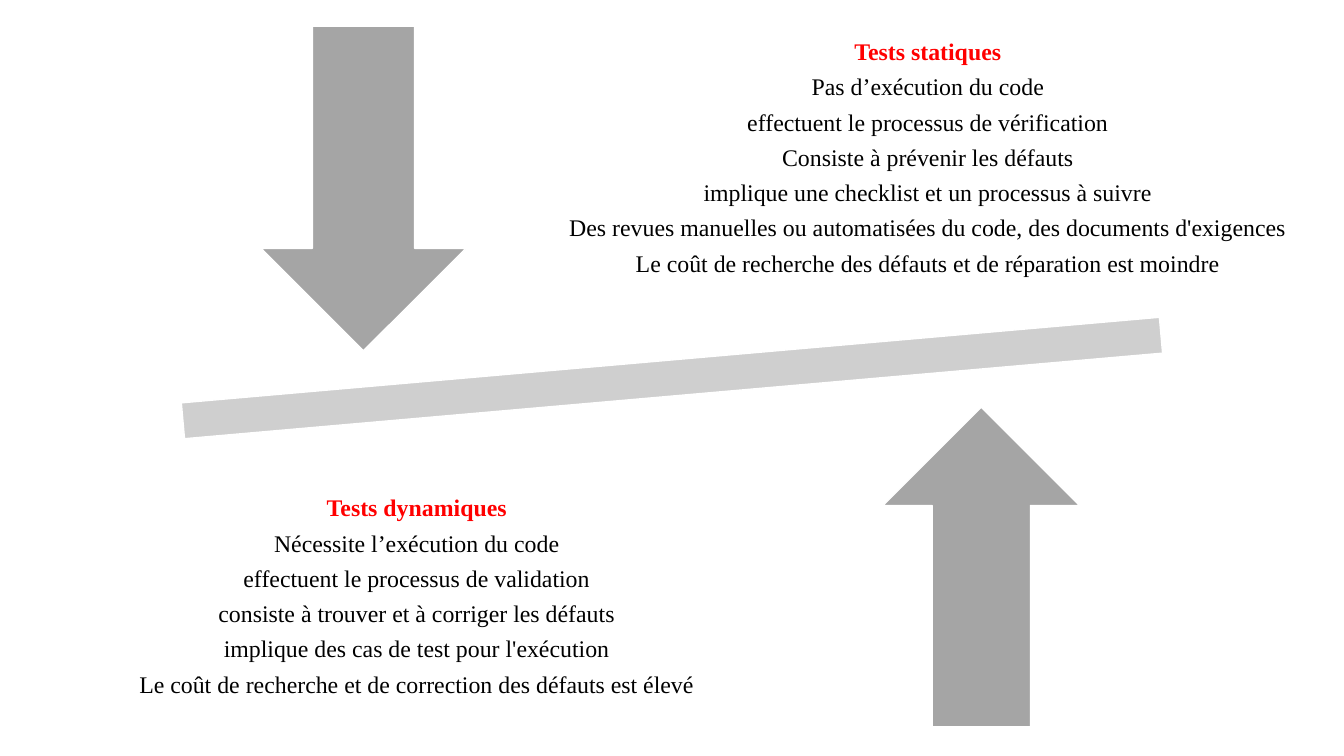
from dataclasses import dataclass

from pptx import Presentation
from pptx.dml.color import RGBColor
from pptx.enum.shapes import MSO_SHAPE
from pptx.enum.text import MSO_ANCHOR, PP_ALIGN
from pptx.util import Inches, Pt


@dataclass(frozen=True)
class Theme:
    """Colours and type sizes of the slide."""
    font: str = "Times New Roman"
    size: float = 17
    space_after: float = 6.8
    line_spacing: float = 0.9
    inset: float = 0.13
    heading: str = "FF0000"
    text: str = "000000"
    beam: str = "CFCFCF"
    arrow: str = "A5A5A5"
    outline: str = "FFFFFF"


@dataclass(frozen=True)
class Box:
    """A frame in percent of the slide's width and height."""
    left: float
    top: float
    width: float
    height: float


@dataclass(frozen=True)
class Figure:
    """A plain preset shape."""
    kind: MSO_SHAPE
    box: Box
    color: str
    rotation: float = 0


@dataclass(frozen=True)
class Panel:
    """A red heading above its centred lines."""
    box: Box
    heading: str
    lines: tuple[str, ...]


THEME = Theme()

FIGURES = (
    Figure(MSO_SHAPE.MATH_MINUS, Box(0.3, 39.87, 99.4, 20.27), THEME.beam, 355),
    Figure(MSO_SHAPE.DOWN_ARROW, Box(19.43, 3.47, 15.23, 42.93), THEME.arrow),
    Figure(MSO_SHAPE.UP_ARROW, Box(65.7, 53.87, 14.63, 42.27), THEME.arrow),
)

PANELS = (
    Panel(Box(38.4, 0, 61.28, 42), "Tests statiques", (
        "Pas d’exécution du code",
        "effectuent le processus de vérification",
        "Consiste à prévenir les défauts",
        "implique une checklist et un processus à suivre",
        "Des revues manuelles ou automatisées du code, des documents d'exigences",
        "Le coût de recherche des défauts et de réparation est moindre",
    )),
    Panel(Box(2.7, 58, 56.63, 42), "Tests dynamiques", (
        "Nécessite l’exécution du code",
        "effectuent le processus de validation",
        "consiste à trouver et à corriger les défauts",
        "implique des cas de test pour l'exécution",
        "Le coût de recherche et de correction des défauts est élevé",
    )),
)

prs = Presentation()
prs.slide_width, prs.slide_height = Inches(13.33), Inches(7.5)
slide = prs.slides.add_slide(prs.slide_layouts[6])


def frame(box: Box) -> tuple[int, int, int, int]:
    """Turn a box of percentages into slide lengths."""
    w, h = prs.slide_width / 100, prs.slide_height / 100
    return int(box.left * w), int(box.top * h), int(box.width * w), int(box.height * h)


def add_figure(figure: Figure) -> None:
    """Draw a filled shape with a thin outline."""
    sp = slide.shapes.add_shape(figure.kind, *frame(figure.box))
    sp.rotation = figure.rotation
    sp.shadow.inherit = False
    sp.fill.solid()
    sp.fill.fore_color.rgb = RGBColor.from_string(figure.color)
    sp.line.color.rgb = RGBColor.from_string(THEME.outline)
    sp.line.width = Pt(1)


def write_line(p, text: str, *, color: str = THEME.text, bold: bool = False) -> None:
    """Fill a paragraph with one centred line."""
    p.alignment = PP_ALIGN.CENTER
    p.line_spacing = THEME.line_spacing
    p.space_after = Pt(THEME.space_after)
    r = p.add_run()
    r.text = text
    r.font.name = THEME.font
    r.font.size = Pt(THEME.size)
    r.font.bold = bold
    r.font.color.rgb = RGBColor.from_string(color)


def add_panel(panel: Panel) -> None:
    """Place a heading and its lines in one text box."""
    tf = slide.shapes.add_textbox(*frame(panel.box)).text_frame
    tf.word_wrap = True
    tf.vertical_anchor = MSO_ANCHOR.MIDDLE
    tf.margin_left = tf.margin_right = Inches(THEME.inset)
    tf.margin_top = tf.margin_bottom = Inches(THEME.inset)
    write_line(tf.paragraphs[0], panel.heading, color=THEME.heading, bold=True)
    for line in panel.lines:
        write_line(tf.add_paragraph(), line)


for figure in FIGURES:
    add_figure(figure)
for panel in PANELS:
    add_panel(panel)

prs.save("out.pptx")
